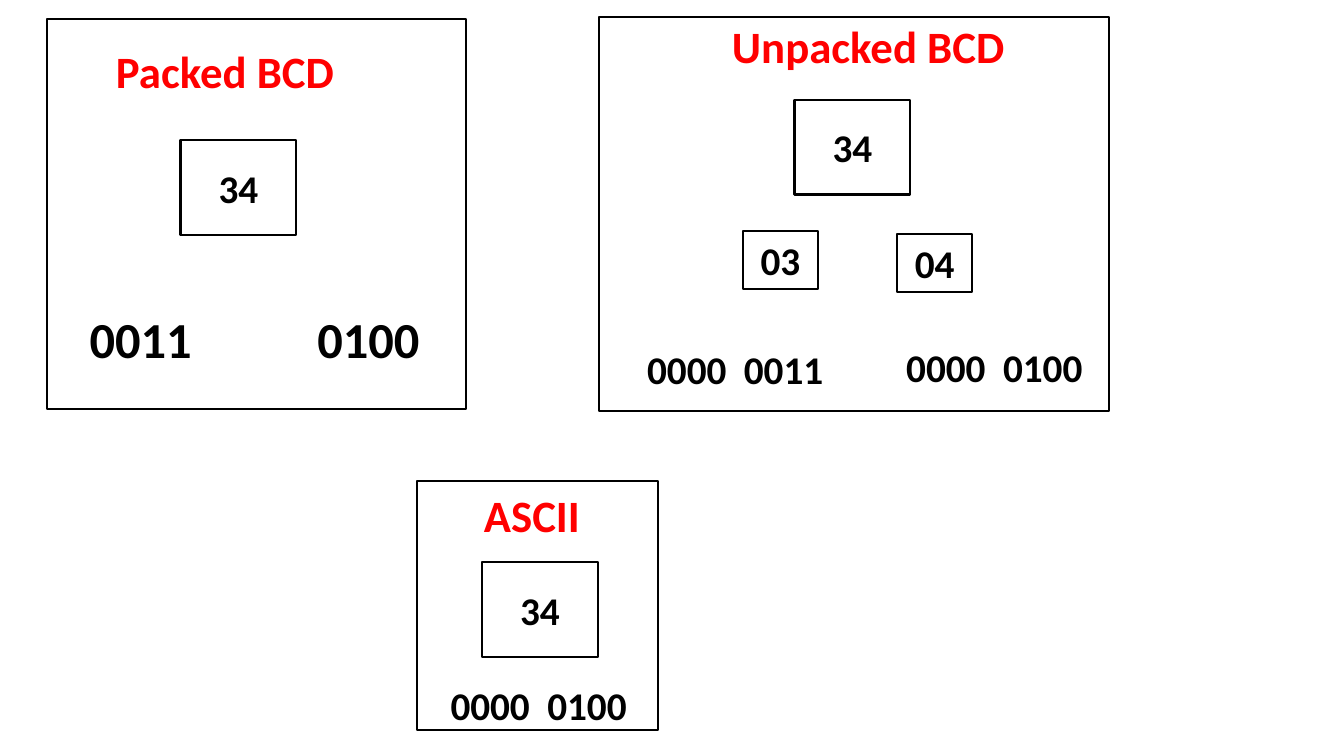
import pptx
import pptx.util
import pptx.dml.color
import pptx.enum.shapes
import pptx.enum.text
import pptx.oxml
import pptx.oxml.ns

Inches, Pt = pptx.util.Inches, pptx.util.Pt
RGB = pptx.dml.color.RGBColor
Align, Anchor = pptx.enum.text.PP_ALIGN, pptx.enum.text.MSO_ANCHOR

THEME = {
    "font": "Calibri", "line_width": 1.5,
    "heading": RGB(0xFF, 0, 0), "ink": RGB(0, 0, 0), "paper": RGB(0xFF, 0xFF, 0xFF),
    "heading_size": 32, "bits_size": 28, "wide_bits_size": 36, "value_size": 28,
}
VALUE_BOX, DIGIT_BOX = (1.15, 0.94), (0.74, 0.58)
BITS_BOX, WIDE_BITS_BOX = (2.13, 0.57), (3.52, 0.71)
BITS_TAB, WIDE_BITS_TAB = 0.96, 2.26

# Placeholder index, heading box, frame box, value boxes, and rows of bits
PANELS = [
    {"placeholder": 0, "heading": "Packed BCD", "heading_at": (1.05, 0.44, 2.61, 0.85),
     "frame": (0.47, 0.19, 4.15, 3.87),
     "values": [("34", (1.79, 1.39), VALUE_BOX)],
     "bits": [("0011\t0100", (0.79, 3.01), WIDE_BITS_BOX, WIDE_BITS_TAB, "wide_bits_size")]},
    {"placeholder": 1, "heading": "Unpacked BCD", "heading_at": (7.16, 0.2, 3.31, 0.85),
     "frame": (5.94, 0.17, 5.06, 3.91),
     "values": [("34", (7.88, 0.99), VALUE_BOX),
                ("03", (7.37, 2.29), DIGIT_BOX),
                ("04", (8.9, 2.32), DIGIT_BOX)],
     "bits": [("0000\t0011", (6.32, 3.38), BITS_BOX, BITS_TAB, "bits_size"),
              ("0000\t0100", (8.89, 3.36), BITS_BOX, BITS_TAB, "bits_size")]},
    {"placeholder": 3, "heading": "ASCII", "heading_at": (4.7, 4.85, 3.31, 0.85),
     "frame": (4.14, 4.77, 2.39, 2.47),
     "values": [("34", (4.78, 5.58), VALUE_BOX)],
     "bits": [("0000\t0100", (4.37, 6.71), BITS_BOX, BITS_TAB, "bits_size")]},
]


def set_all(target, values):
    for name, value in values.items():
        setattr(target, name, value)


def write(sp, text, size, color="ink", align=Align.LEFT, anchor=Anchor.TOP, spacing=1.0, tab=None):
    """Fill a shape with one bold paragraph; tab is a stop in inches."""
    tf = sp.text_frame
    tf.text = text
    set_all(tf, {"word_wrap": True, "vertical_anchor": anchor,
                 "auto_size": pptx.enum.text.MSO_AUTO_SIZE.NONE})
    p = tf.paragraphs[0]
    set_all(p, {"alignment": align, "line_spacing": spacing, "space_before": Pt(0)})
    if tab:
        tabs = pptx.oxml.parse_xml(
            f'<a:tabLst {pptx.oxml.ns.nsdecls("a")}><a:tab pos="{Inches(tab)}" algn="l"/></a:tabLst>')
        p._p.get_or_add_pPr().append(tabs)
    r = p.runs[0]
    set_all(r.font, {"name": THEME["font"], "size": Pt(THEME[size]), "bold": True})
    r.font.color.rgb = THEME[color]


def add_box(shapes, box, filled):
    sp = shapes.add_shape(pptx.enum.shapes.MSO_SHAPE.RECTANGLE, *map(Inches, box))
    sp.shadow.inherit = False
    if filled:
        sp.fill.solid()
        sp.fill.fore_color.rgb = THEME["paper"]
    else:
        sp.fill.background()
    sp.line.color.rgb = THEME["ink"]
    sp.line.width = Pt(THEME["line_width"])
    return sp


def add_panel(s, panel):
    sp = next(ph for ph in s.placeholders
              if ph.placeholder_format.idx == panel["placeholder"])
    set_all(sp, dict(zip(("left", "top", "width", "height"), map(Inches, panel["heading_at"]))))
    write(sp, panel["heading"], "heading_size", "heading", spacing=0.9)
    add_box(s.shapes, panel["frame"], filled=False)
    for text, place, size in panel["values"]:
        write(add_box(s.shapes, place + size, filled=True), text, "value_size",
              align=Align.CENTER, anchor=Anchor.MIDDLE)
    for text, place, size, tab, type_size in panel["bits"]:
        write(s.shapes.add_textbox(*map(Inches, place + size)), text, type_size, tab=tab)


def main():
    prs = pptx.Presentation()
    set_all(prs, {"slide_width": Inches(13.33), "slide_height": Inches(7.5)})
    s = prs.slides.add_slide(prs.slide_layouts.get_by_name("Comparison"))
    used = {panel["placeholder"] for panel in PANELS}
    for ph in list(s.placeholders):
        if ph.placeholder_format.idx not in used:
            ph.element.getparent().remove(ph.element)
    for panel in PANELS:
        add_panel(s, panel)
    prs.save("out.pptx")


if __name__ == "__main__":
    main()
